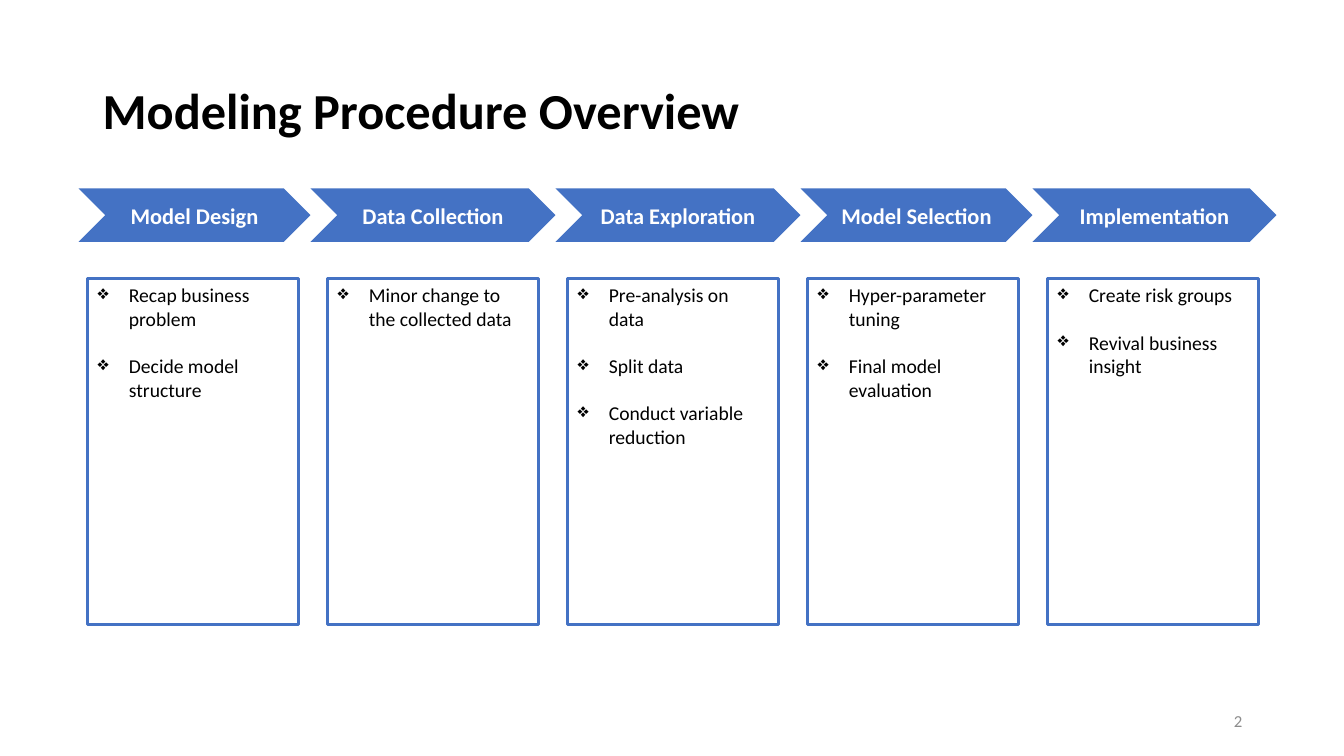
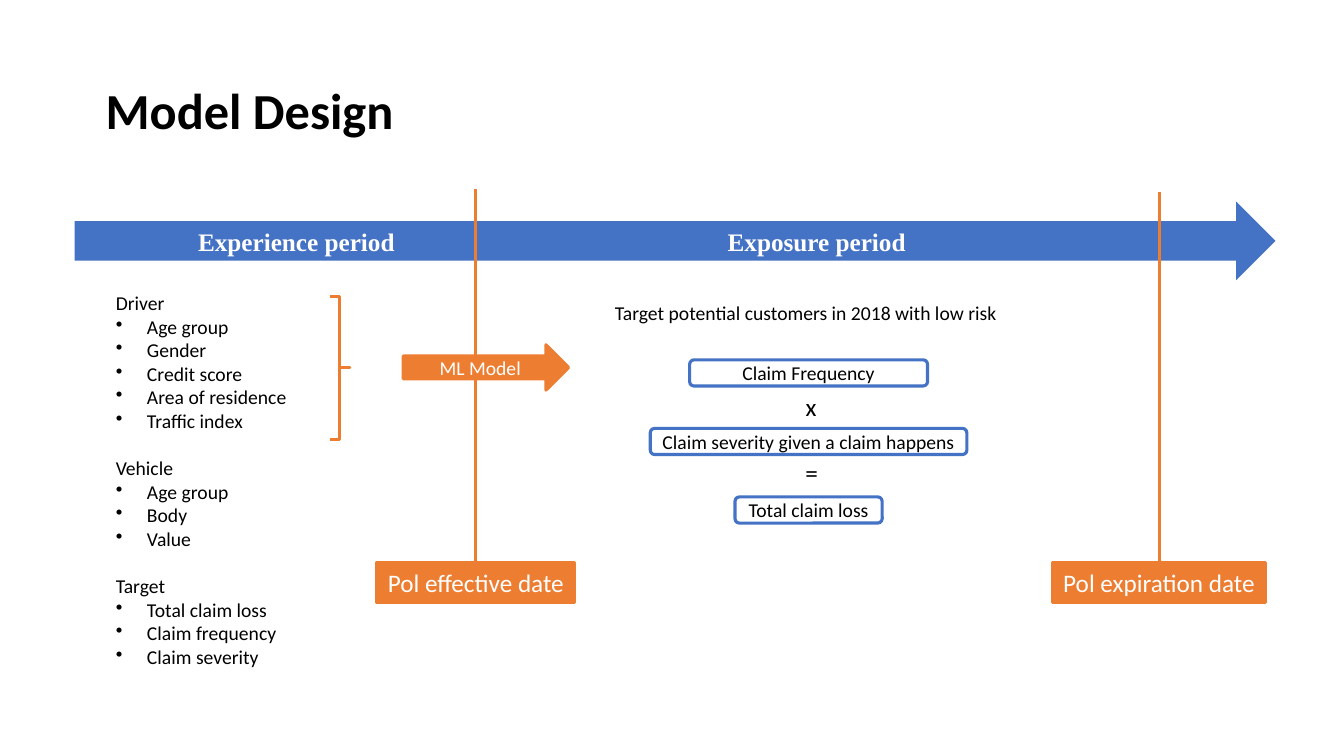
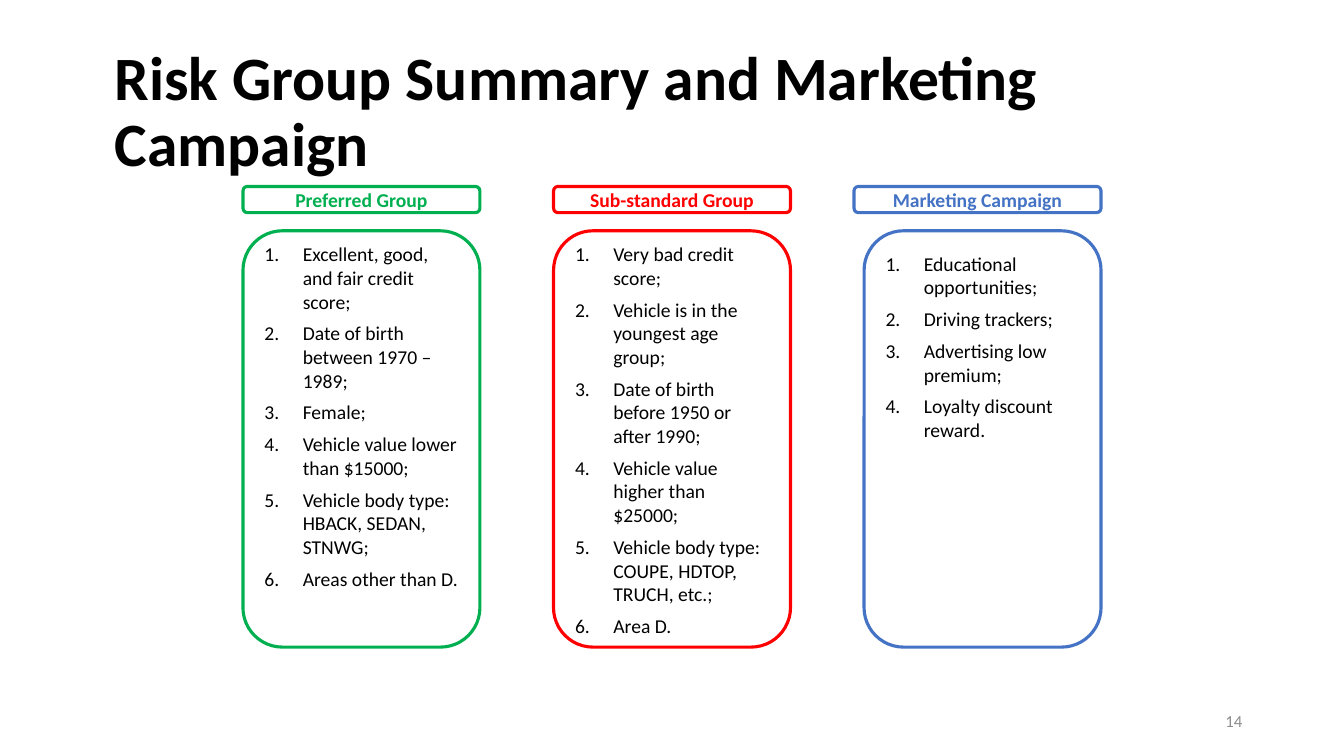
"""Builds three slides on a modeling procedure for insurance claims."""
import lxml.etree
import pptx
import pptx.dml.color
import pptx.enum.shapes
import pptx.enum.text
import pptx.oxml.ns
import pptx.util

PX = 9144
COLOURS = {
    "blue": "4472C4",
    "orange": "ED7D31",
    "green": "00B050",
    "red": "FF0000",
    "black": "000000",
    "white": "FFFFFF",
    "grey": "8C8C8C",
}
LINE_WIDTH = 2.25
BLANK_LINE = 17
SHAPES = pptx.enum.shapes.MSO_SHAPE
ALIGN = pptx.enum.text.PP_ALIGN
ANCHOR = pptx.enum.text.MSO_ANCHOR


def px(*lengths):
    return [pptx.util.Emu(length * PX) for length in lengths]


def rgb(name):
    return pptx.dml.color.RGBColor.from_string(COLOURS[name])


def add_node(parent, tag, **attributes):
    return lxml.etree.SubElement(parent, pptx.oxml.ns.qn(tag), attributes)


def write_text(box, text, size=14, colour="black", bold=False, font="Calibri",
               align=ALIGN.LEFT, space=0, spacing=None, bullet=None, indent=31):
    frame = box.text_frame
    para = frame.paragraphs[0]
    if para.runs:
        para = frame.add_paragraph()
    para.alignment = align
    para.space_before = pptx.util.Pt(space)
    if spacing:
        para.line_spacing = spacing
    if bullet:
        properties = para._p.get_or_add_pPr()
        properties.set("marL", str(indent * PX))
        properties.set("indent", str(-indent * PX))
        if bullet == "number":
            add_node(properties, "a:buAutoNum", type="arabicPeriod")
        else:
            add_node(properties, "a:buChar", char=bullet)
    span = para.add_run()
    span.text = text
    span.font.size = pptx.util.Pt(size)
    span.font.bold = bold
    span.font.name = font
    span.font.color.rgb = rgb(colour)


def add_text_box(slide, place, anchor=ANCHOR.TOP, wrap=True):
    box = slide.shapes.add_textbox(*px(*place))
    box.text_frame.word_wrap = wrap
    box.text_frame.vertical_anchor = anchor
    return box


def add_shape(slide, kind, place, fill=None, line=None,
              anchor=ANCHOR.MIDDLE, wrap=True):
    shape = slide.shapes.add_shape(kind, *px(*place))
    shape.shadow.inherit = False
    if fill:
        shape.fill.solid()
        shape.fill.fore_color.rgb = rgb(fill)
    else:
        shape.fill.background()
    if line:
        shape.line.color.rgb = rgb(line)
        shape.line.width = pptx.util.Pt(LINE_WIDTH)
    else:
        shape.line.fill.background()
    shape.text_frame.word_wrap = wrap
    shape.text_frame.vertical_anchor = anchor
    return shape


def add_vertical_line(slide, x, top, bottom):
    line = slide.shapes.add_connector(
        pptx.enum.shapes.MSO_CONNECTOR.STRAIGHT, *px(x, top, x, bottom))
    line.line.color.rgb = rgb("orange")
    line.line.width = pptx.util.Pt(LINE_WIDTH)
    add_node(line._element.spPr, "a:effectLst")


def add_pill(slide, place, text, line, colour="black", bold=False):
    pill = add_shape(slide, SHAPES.ROUNDED_RECTANGLE, place, line=line)
    write_text(pill, text, colour=colour, bold=bold, align=ALIGN.CENTER)


def add_slide(deck, title, left, size=36, number=None):
    slide = deck.slides.add_slide(deck.slide_layouts[6])
    heading = add_text_box(slide, (left, 40, 1150, 145), ANCHOR.MIDDLE)
    write_text(heading, title, size=size, bold=True, spacing=0.9)
    if number:
        footer = add_text_box(slide, (942, 695, 300, 40), ANCHOR.MIDDLE)
        write_text(footer, number, size=12, colour="grey", align=ALIGN.RIGHT)
    return slide


def build_overview(deck):
    slide = add_slide(deck, "Modeling Procedure Overview", 92, number="2")
    steps = [
        ("Model Design", 230,
         ["Recap business problem", "Decide model structure"]),
        ("Data Collection", 243,
         ["Minor change to the collected data"]),
        ("Data Exploration", 243,
         ["Pre-analysis on data", "Split data",
          "Conduct variable reduction"]),
        ("Model Selection", 230,
         ["Hyper-parameter tuning", "Final model evaluation"]),
        ("Implementation", 242,
         ["Create risk groups", "Revival business insight"]),
    ]
    left = 78
    for column, (name, width, tasks) in enumerate(steps):
        chevron = add_shape(slide, SHAPES.CHEVRON, (left, 187, width, 53),
                            fill="blue")
        write_text(chevron, name, size=16, colour="white", bold=True,
                   align=ALIGN.CENTER)
        left += width
        card = add_shape(slide, SHAPES.RECTANGLE,
                         (87 + 238 * column, 276, 209, 344),
                         fill="white", line="blue", anchor=ANCHOR.TOP)
        for row, task in enumerate(tasks):
            write_text(card, task, bullet="❖",
                       space=BLANK_LINE if row else 0)


def add_date_marker(slide, x, top, place, text):
    add_vertical_line(slide, x, top, 587)
    label = add_shape(slide, SHAPES.RECTANGLE, place, fill="orange",
                      line="orange", wrap=False)
    write_text(label, text, size=18, colour="white", align=ALIGN.CENTER)


def add_variable_list(slide):
    groups = {
        "Driver": ["Age group", "Gender", "Credit score",
                   "Area of residence", "Traffic index"],
        "Vehicle": ["Age group", "Body", "Value"],
        "Target": ["Total claim loss", "Claim frequency", "Claim severity"],
    }
    box = add_text_box(slide, (105, 284, 320, 411))
    for position, (group, variables) in enumerate(groups.items()):
        write_text(box, group, space=BLANK_LINE if position else 0)
        for variable in variables:
            write_text(box, variable, bullet="•")


def add_formula(slide):
    terms = [("Claim Frequency", 236),
             ("Claim severity given a claim happens", 314),
             ("Total claim loss", 146)]
    for row, (term, width) in enumerate(terms):
        add_pill(slide, (802 - width // 2, 357 + 68 * row, width, 26),
                 term, "blue")
    for row, operator in enumerate(["x", "="]):
        box = add_text_box(slide, (789, 383 + 66 * row, 31, 40), wrap=False)
        write_text(box, operator, size=18, align=ALIGN.CENTER)


def build_design(deck):
    slide = add_slide(deck, "Model Design", 95)
    add_shape(slide, SHAPES.RIGHT_ARROW, (74, 200, 1191, 78), fill="blue")
    for period, left in [("Experience period", 169),
                         ("Exposure period", 685)]:
        label = add_text_box(slide, (left, 220, 250, 40), ANCHOR.MIDDLE)
        write_text(label, period, size=18, colour="white", bold=True,
                   font="Times New Roman", align=ALIGN.CENTER)
    add_date_marker(slide, 472, 188, (374, 558, 196, 40),
                    "Pol effective date")
    add_date_marker(slide, 1150, 190, (1044, 558, 211, 40),
                    "Pol expiration date")
    brace = add_shape(slide, SHAPES.RIGHT_BRACE, (327, 294, 20, 142),
                      line="orange")
    brace.adjustments[0] = 0
    model = add_shape(slide, SHAPES.RIGHT_ARROW, (400, 342, 164, 45),
                      fill="orange", line="orange")
    write_text(model, "ML Model", colour="white", align=ALIGN.CENTER)
    add_variable_list(slide)
    goal = add_text_box(slide, (600, 294, 400, 57), wrap=False)
    write_text(goal, "Target potential customers in 2018 with low risk")
    add_formula(slide)


def build_summary(deck):
    slide = add_slide(deck, "Risk Group Summary and Marketing Campaign", 104,
                      size=44, number="14")
    groups = [
        ("Preferred Group", "green", 0, 0,
         ["Excellent, good, and fair credit score;",
          "Date of birth between 1970 – 1989;",
          "Female;",
          "Vehicle value lower than $15000;",
          "Vehicle body type: HBACK, SEDAN, STNWG;",
          "Areas other than D."]),
        ("Sub-standard Group", "red", 0, 0,
         ["Very bad credit score;",
          "Vehicle is in the youngest age group;",
          "Date of birth before 1950 or after 1990;",
          "Vehicle value higher than $25000;",
          "Vehicle body type: COUPE, HDTOP, TRUCH, etc.;",
          "Area D."]),
        ("Marketing Campaign", "blue", 10, 9,
         ["Educational opportunities;",
          "Driving trackers;",
          "Advertising low premium;",
          "Loyalty discount reward."]),
    ]
    for column, (name, colour, overhang, inset, points) in enumerate(groups):
        left = 241 + 308 * column
        add_pill(slide, (left - overhang, 185, 235 + overhang, 26), name,
                 colour, colour=colour, bold=True)
        card = add_shape(slide, SHAPES.ROUNDED_RECTANGLE,
                         (left, 229, 235, 413), line=colour,
                         anchor=ANCHOR.TOP)
        card.text_frame.margin_top, card.text_frame.margin_bottom = px(inset, 0)
        for row, point in enumerate(points):
            write_text(card, point, bullet="number", indent=38,
                       space=6 if row else 0)


def main():
    deck = pptx.Presentation()
    deck.slide_width, deck.slide_height = px(1333, 750)
    build_overview(deck)
    build_design(deck)
    build_summary(deck)
    deck.save("out.pptx")


if __name__ == "__main__":
    main()
